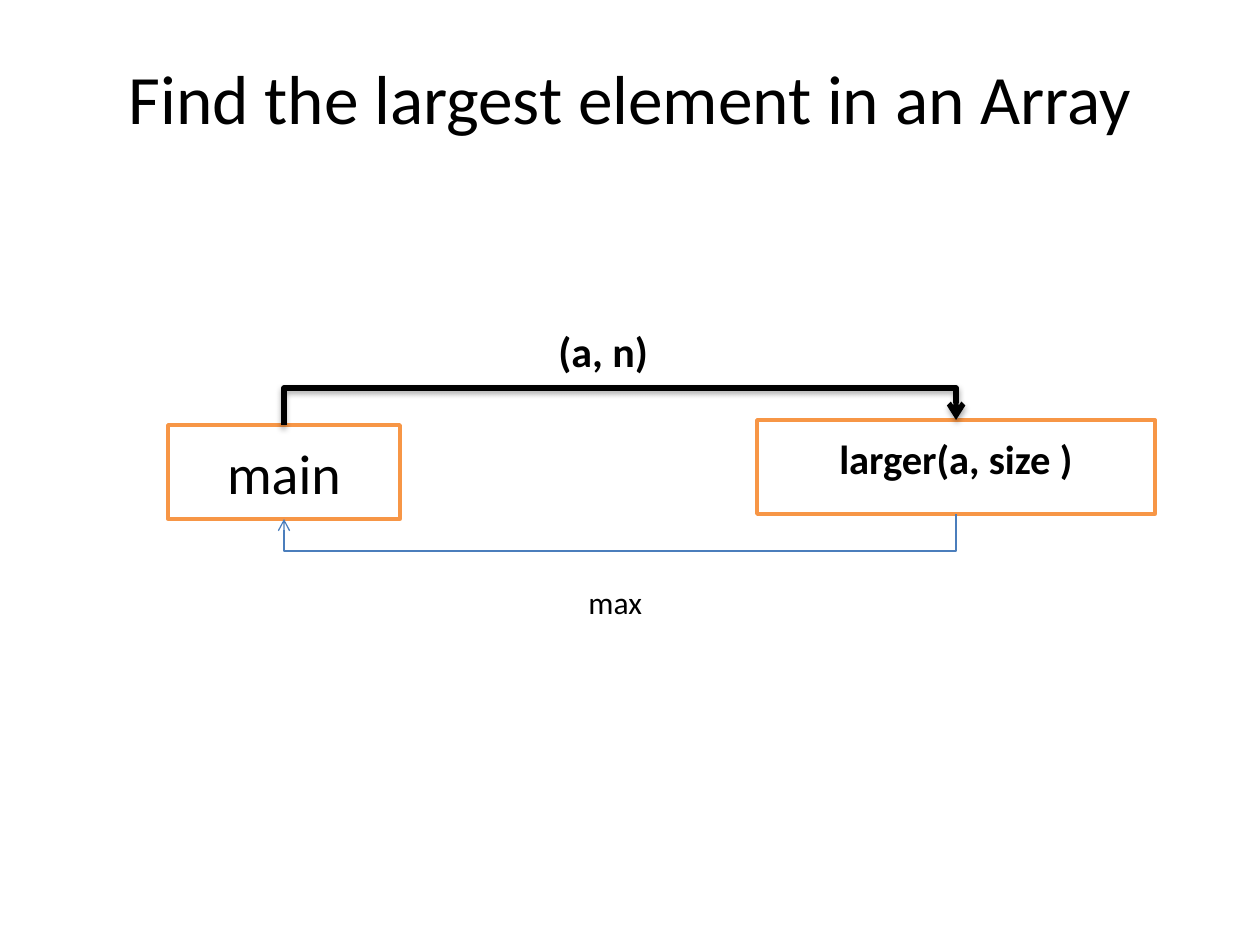
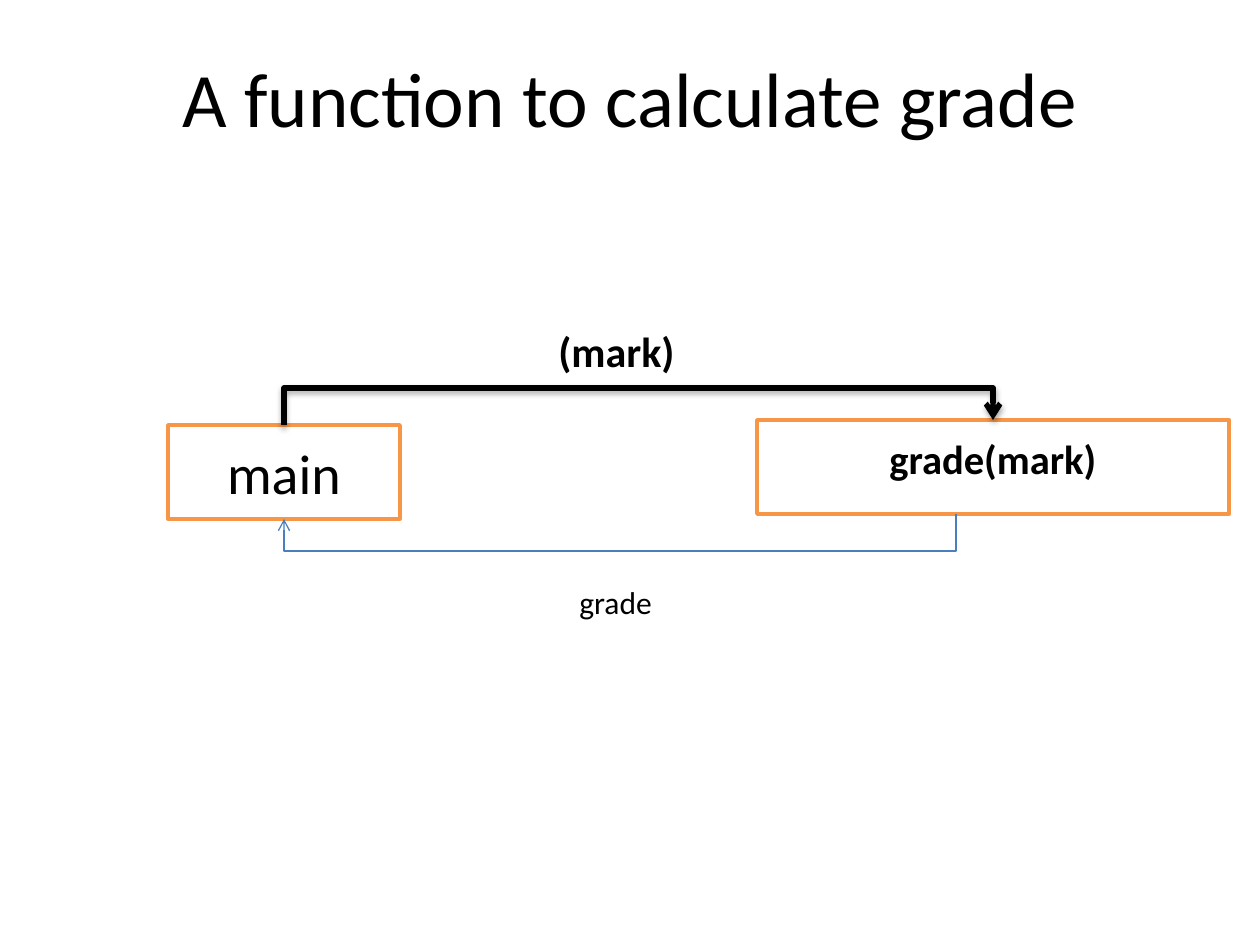
from dataclasses import dataclass

from lxml import etree
from pptx import Presentation
from pptx import util as u
from pptx.dml.color import RGBColor
from pptx.enum import shapes, text
from pptx.oxml.ns import qn

PX_PER_INCH = 126


@dataclass(frozen=True)
class Theme:
    font: str = "Calibri"
    ink: str = "000000"
    paper: str = "FFFFFF"
    box_line: str = "F79646"
    return_line: str = "4B7EBC"
    box_weight: float = 2
    call_weight: float = 3
    return_weight: float = 0.75
    caller_size: float = 32
    callee_size: float = 40
    argument_size: float = 24
    result_size: float = 18


THEME = Theme()
MAIN_BOX = (168, 425, 232, 94)
CALLEE_LEFT, CALLEE_TOP, CALLEE_HEIGHT = 757, 420, 94
RETURN_START = 956
ARROW_REACH = 37
ARGUMENT_LEFT, ARGUMENT_TOP, ARGUMENT_HEIGHT = 546, 319, 63
RESULT_CENTRE, RESULT_TOP, RESULT_HEIGHT = 616, 577, 50


def px(length):
    return u.Emu(round(length * u.Inches(1) / PX_PER_INCH))


def add_run(shape, words, size, bold=False, raised=False, centred=False):
    paragraph = shape.text_frame.paragraphs[0]
    paragraph.alignment = text.PP_ALIGN.CENTER if centred else text.PP_ALIGN.LEFT
    run = paragraph.add_run()
    run.text = words
    run.font.name = THEME.font
    run.font.size = u.Pt(size)
    run.font.bold = bold
    run.font.color.rgb = RGBColor.from_string(THEME.ink)
    if raised:
        run.font._element.set("baseline", "30000")


def add_title(slide, words, size):
    title = slide.shapes.add_textbox(*map(px, (63, 42, 1134, 110)))
    title.text_frame.word_wrap = True
    title.text_frame.vertical_anchor = text.MSO_ANCHOR.MIDDLE
    add_run(title, words, size, centred=True)


def add_label(slide, words, frame, size, bold=False):
    label = slide.shapes.add_textbox(*map(px, frame))
    label.text_frame.word_wrap = False
    label.text_frame.auto_size = text.MSO_AUTO_SIZE.SHAPE_TO_FIT_TEXT
    add_run(label, words, size, bold)


def add_function_box(slide, words, frame, size, bold=False, raised=False):
    box = slide.shapes.add_shape(shapes.MSO_SHAPE.RECTANGLE, *map(px, frame))
    box.shadow.inherit = False
    box.fill.solid()
    box.fill.fore_color.rgb = RGBColor.from_string(THEME.paper)
    box.line.color.rgb = RGBColor.from_string(THEME.box_line)
    box.line.width = u.Pt(THEME.box_weight)
    box.text_frame.vertical_anchor = text.MSO_ANCHOR.MIDDLE
    add_run(box, words, size, bold, raised, centred=True)


def add_shadow(effects):
    shadow = etree.SubElement(effects, qn("a:outerShdw"), blurRad="40000",
                              dist="23000", dir="5400000", rotWithShape="0")
    color = etree.SubElement(shadow, qn("a:srgbClr"), val=THEME.ink)
    etree.SubElement(color, qn("a:alpha"), val="35000")


def add_bent_arrow(slide, start, end, color, weight, upward=False, shadow=False):
    """Leave start vertically, cross over, and enter end vertically.

    The elbow is a narrow upright frame turned by 90 degrees about its centre.
    """
    span, gap = abs(end[0] - start[0]), abs(end[1] - start[1])
    left = (start[0] + end[0] - gap) / 2
    top = (start[1] + end[1] - span) / 2
    corners = [px(left), px(top), px(left + gap), px(top + span)]
    if upward:
        corners = corners[2:] + corners[:2]
    arrow = slide.shapes.add_connector(shapes.MSO_CONNECTOR.ELBOW, *corners)
    arrow.line.color.rgb = RGBColor.from_string(color)
    arrow.line.width = u.Pt(weight)

    properties = arrow._element.spPr
    properties.find(qn("a:xfrm")).set("rot", "5400000")
    geometry = properties.find(qn("a:prstGeom"))
    adjustments = geometry.find(qn("a:avLst"))
    if adjustments is None:
        adjustments = etree.SubElement(geometry, qn("a:avLst"))
    bend = round(ARROW_REACH / gap * 100000)
    etree.SubElement(adjustments, qn("a:gd"), name="adj1", fmla=f"val {bend}")
    etree.SubElement(properties.find(qn("a:ln")), qn("a:tailEnd"), type="arrow")
    effects = etree.SubElement(properties, qn("a:effectLst"))
    if shadow:
        add_shadow(effects)


def add_call_slide(deck, title, title_size, callee, callee_width,
                   argument, argument_width, result, result_width):
    slide = deck.slides.add_slide(deck.slide_layouts[6])
    main_left, main_top, main_width, main_height = MAIN_BOX
    main_centre = main_left + main_width / 2
    callee_centre = CALLEE_LEFT + callee_width / 2

    add_title(slide, title, title_size)
    add_function_box(slide, "main", MAIN_BOX, THEME.caller_size)
    add_function_box(slide, callee,
                     (CALLEE_LEFT, CALLEE_TOP, callee_width, CALLEE_HEIGHT),
                     THEME.callee_size, bold=True, raised=True)
    add_bent_arrow(slide, (main_centre, main_top), (callee_centre, CALLEE_TOP),
                   THEME.ink, THEME.call_weight, upward=True, shadow=True)
    add_label(slide, argument,
              (ARGUMENT_LEFT, ARGUMENT_TOP, argument_width, ARGUMENT_HEIGHT),
              THEME.argument_size, bold=True)
    add_bent_arrow(slide, (RETURN_START, CALLEE_TOP + CALLEE_HEIGHT),
                   (main_centre, main_top + main_height),
                   THEME.return_line, THEME.return_weight)
    add_label(slide, result,
              (RESULT_CENTRE - result_width / 2, RESULT_TOP, result_width, RESULT_HEIGHT),
              THEME.result_size)


def main():
    deck = Presentation()
    deck.slide_width, deck.slide_height = u.Inches(10), u.Inches(7.5)
    add_call_slide(deck, "Find the largest element in an Array", 39.6,
                   "larger(a, size )", 398, "(a, n)", 116, "max", 80)
    add_call_slide(deck, "A function to calculate grade", 44,
                   "grade(mark)", 472, "(mark)", 142, "grade", 98)
    deck.save("out.pptx")


if __name__ == "__main__":
    main()
